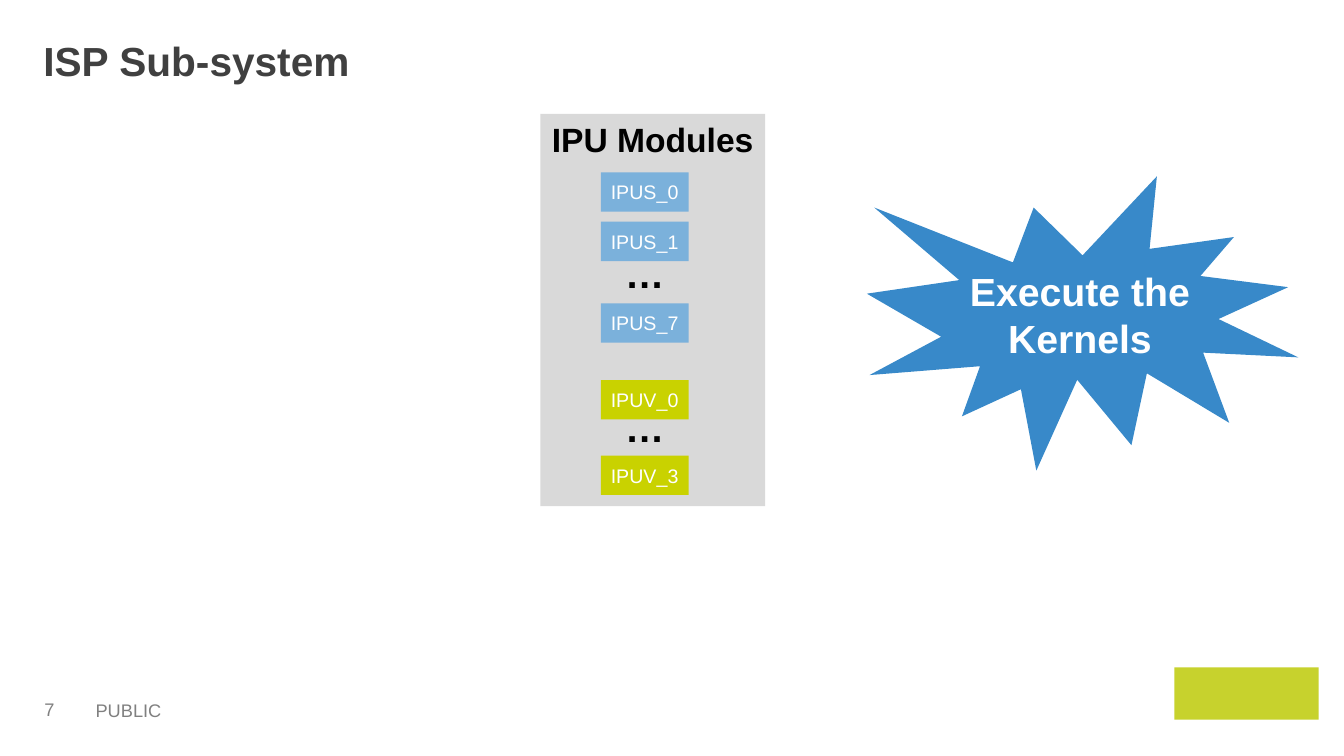
from pptx import Presentation
from pptx.dml.color import RGBColor
from pptx.enum.shapes import MSO_SHAPE as Preset
from pptx.enum.text import MSO_ANCHOR as Anchor, PP_ALIGN as Align
from pptx.util import Inches, Pt

SLIDE_W, SLIDE_H = Inches(13.33), Inches(7.5)
COLORS = {
    "title": "404040", "footer": "808080", "black": "000000", "white": "FFFFFF",
    "panel": "D9D9D9", "scalar": "7BB1DB", "vector": "C9D200",
    "burst": "3889C9", "emblem": "C7D22D",
}
MODULE_LEFT, MODULE_W, MODULE_H, DOTS_H = 44.7, 6.53, 5.2, 5.6
MODULES = [
    ("IPUS_0", 22.8, "scalar"), ("IPUS_1", 29.33, "scalar"), ("IPUS_7", 40.13, "scalar"),
    ("IPUV_0", 50.27, "vector"), ("IPUV_3", 60.27, "vector"),
]
DOTS_TOPS = (33.33, 53.6)


def color(key):
    return RGBColor.from_string(COLORS[key])


def place(left, top, width, height):
    """Turn percentages of the slide into lengths."""
    return [round(share * full / 100) for share, full in
            zip((left, top, width, height), (SLIDE_W, SLIDE_H) * 2)]


def write(holder, text, size, ink, bold=False, align=Align.LEFT, anchor=Anchor.TOP, side=0.1):
    frame = holder.text_frame
    frame.word_wrap = True
    frame.vertical_anchor = anchor
    frame.margin_left = frame.margin_right = Inches(side)
    paragraph = frame.paragraphs[0]
    paragraph.alignment = align
    run = paragraph.add_run()
    run.text = text
    run.font.name, run.font.size, run.font.bold = "Arial", Pt(size), bold
    run.font.color.rgb = color(ink)


def add_label(slide, area, text, size, ink, **style):
    write(slide.shapes.add_textbox(*place(*area)), text, size, ink, **style)


def add_block(slide, area, fill, preset=Preset.RECTANGLE):
    block = slide.shapes.add_shape(preset, *place(*area))
    block.shadow.inherit = False
    block.fill.solid()
    block.fill.fore_color.rgb = color(fill)
    block.line.fill.background()
    return block


def add_footer(slide):
    add_label(slide, (6.38, 91.87, 29.85, 4.53), "PUBLIC", 13, "footer")
    add_label(slide, (2.78, 91.87, 4.88, 4), "7", 13, "footer", anchor=Anchor.MIDDLE, side=0.07)
    add_block(slide, (87.38, 88.27, 10.73, 6.93), "emblem")


def add_modules(slide):
    centred = {"align": Align.CENTER, "side": 0.05}
    panel = add_block(slide, (40.2, 15.07, 16.73, 51.87), "panel")
    write(panel, "IPU Modules", 24, "black", bold=True, **centred)
    centred["anchor"] = Anchor.MIDDLE
    for name, top, fill in MODULES:
        module = add_block(slide, (MODULE_LEFT, top, MODULE_W, MODULE_H), fill)
        write(module, name, 14, "white", **centred)
    for top in DOTS_TOPS:
        add_label(slide, (MODULE_LEFT, top, MODULE_W, DOTS_H), "…", 28, "black",
                  bold=True, **centred)


def main():
    deck = Presentation()
    deck.slide_width, deck.slide_height = SLIDE_W, SLIDE_H
    slide = deck.slides.add_slide(deck.slide_layouts[6])
    add_footer(slide)
    add_label(slide, (2.48, 4.13, 95.62, 9.6), "ISP Sub-system", 29, "title", bold=True)
    add_modules(slide)
    burst = add_block(slide, (64.5, 23.33, 32.1, 38.93), "burst", Preset.EXPLOSION1)
    write(burst, "Execute the Kernels", 28, "white", bold=True,
          align=Align.CENTER, anchor=Anchor.MIDDLE, side=0.05)
    deck.save("out.pptx")


if __name__ == "__main__":
    main()
